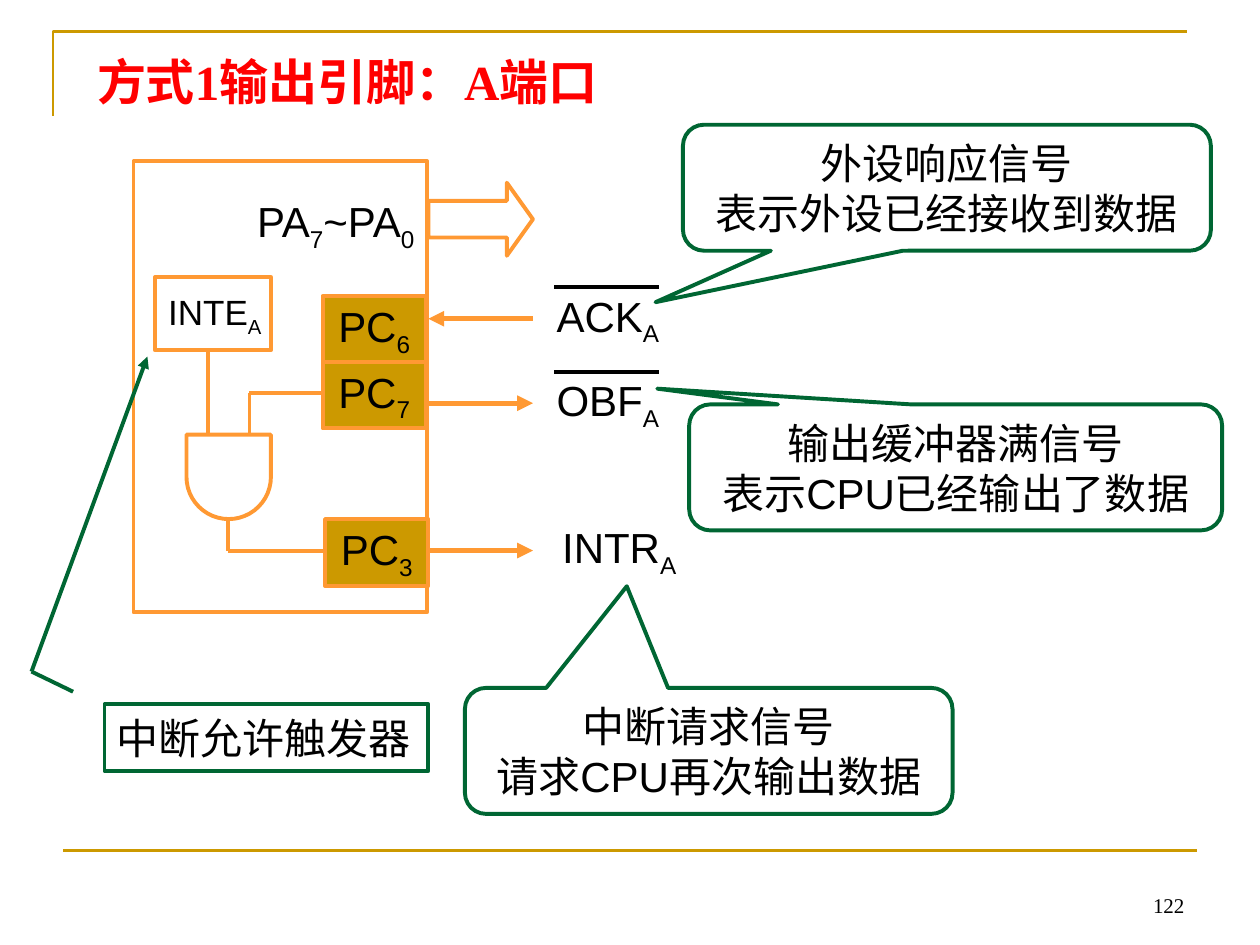
from lxml.etree import SubElement
from pptx import Presentation
from pptx.dml.color import RGBColor
from pptx.enum.shapes import MSO_CONNECTOR, MSO_SHAPE
from pptx.enum.text import MSO_ANCHOR, MSO_AUTO_SIZE, PP_ALIGN
from pptx.oxml.ns import qn
from pptx.util import Inches, Pt

GOLD = RGBColor(0xCC, 0x99, 0x00)
ORANGE = RGBColor(0xFF, 0x99, 0x33)
GREEN = RGBColor(0x00, 0x66, 0x33)
RED = RGBColor(0xFF, 0x00, 0x00)
BLACK = RGBColor(0x00, 0x00, 0x00)
WHITE = RGBColor(0xFF, 0xFF, 0xFF)
SANS, SERIF = "Arial", "Times New Roman"

TITLE = "方式1输出引脚：A端口"
PAGE_NUMBER = "122"
ENABLE_NOTE = "中断允许触发器"

CALLOUTS = [
    (("外设响应信号", "表示外设已经接收到数据"), (5.42, 0.99, 4.19, 1), (-0.552, 0.909, 0.167)),
    (("输出缓冲器满信号", "表示CPU已经输出了数据"), (5.47, 3.21, 4.23, 1), (-0.56, -0.625, 0.167)),
    (("中断请求信号", "请求CPU再次输出数据"), (3.69, 5.46, 3.87, 1), (-0.168, -1.307, 0.167)),
]

PINS = [("6", 2.56, 2.35), ("7", 2.56, 2.87), ("3", 2.58, 4.12)]

# Label parts alternate between normal text and subscript.
SIGNALS = [
    (("PA", "7", "~PA", "0"), (1.9, 1.53, 1.53, 0.5), 24),
    (("INTE", "A"), (1.23, 2.28, 0.95, 0.43), 20),
    (("ACK", "A"), (4.31, 2.28, 1.03, 0.5), 24),
    (("OBF", "A"), (4.31, 2.95, 1.03, 0.5), 24),
    (("INTR", "A"), (4.35, 4.12, 1.13, 0.5), 24),
]

GATE_WIRES = [
    ((1.65, 2.78), (1.65, 3.45)),
    ((1.98, 3.12), (2.56, 3.12)),
    ((1.98, 3.12), (1.98, 3.45)),
    ((1.81, 4.12), (1.81, 4.37)),
    ((2.56, 4.37), (1.81, 4.37)),
]
CHIP_EDGE, SIGNAL_EDGE = 3.4, 4.23
PIN_ARROWS = [
    (SIGNAL_EDGE, CHIP_EDGE, 2.53),
    (CHIP_EDGE, SIGNAL_EDGE, 3.2),
    (CHIP_EDGE, SIGNAL_EDGE, 4.37),
]
OVERBAR_TOPS = [2.28, 2.95]


def inches(values):
    return [Inches(value) for value in values]


def style_runs(paragraph, size, font=SANS, color=BLACK, bold=False):
    for run in paragraph.runs:
        run.font.name = font
        run.font.size = Pt(size)
        run.font.bold = bold
        run.font.color.rgb = color


def prepare_frame(frame, wrap=False, anchor=MSO_ANCHOR.MIDDLE):
    frame.auto_size = MSO_AUTO_SIZE.NONE
    frame.word_wrap = wrap
    frame.vertical_anchor = anchor


def write_lines(frame, lines, align=PP_ALIGN.CENTER):
    prepare_frame(frame)
    frame.text = "\n".join(lines)
    for paragraph in frame.paragraphs:
        paragraph.alignment = align
        style_runs(paragraph, 24)


def write_label(frame, parts, size=24):
    prepare_frame(frame)
    paragraph = frame.paragraphs[0]
    paragraph.alignment = PP_ALIGN.CENTER
    for index, part in enumerate(parts):
        run = paragraph.add_run()
        run.text = part
        if index % 2:
            run._r.get_or_add_rPr().set("baseline", "-25000")
    style_runs(paragraph, size)


def add_outline(slide, kind, box, color, fill=None, adjustments=()):
    shape = slide.shapes.add_shape(kind, *inches(box))
    shape.shadow.inherit = False
    shape.line.color.rgb = color
    shape.line.width = Pt(2.25)
    if fill is None:
        shape.fill.background()
    else:
        shape.fill.solid()
        shape.fill.fore_color.rgb = fill
    for index, value in enumerate(adjustments):
        shape.adjustments[index] = value
    return shape


def add_line(slide, start, end, color, width=2.25, arrow=False):
    line = slide.shapes.add_connector(MSO_CONNECTOR.STRAIGHT, *inches(start + end))
    line.line.color.rgb = color
    line.line.width = Pt(width)
    if arrow:
        SubElement(line.line._get_or_add_ln(), qn("a:tailEnd"), type="triangle")
    SubElement(line._element.spPr, qn("a:effectLst"))


def add_page_frame(slide):
    builder = slide.shapes.build_freeform(Inches(0.42), Inches(0.92))
    builder.add_line_segments([inches((0.42, 0.25)), inches((9.42, 0.25))], close=False)
    corner = builder.convert_to_shape()
    corner.shadow.inherit = False
    corner.fill.background()
    corner.line.color.rgb = GOLD
    corner.line.width = Pt(1.5)
    add_line(slide, (0.5, 6.75), (9.5, 6.75), GOLD, 1.5)

    title = slide.shapes.title
    title.left, title.top, title.width, title.height = inches((0.67, 0.36, 5.62, 0.73))
    title.fill.solid()
    title.fill.fore_color.rgb = WHITE
    prepare_frame(title.text_frame, True, MSO_ANCHOR.TOP)
    title.text_frame.text = TITLE
    heading = title.text_frame.paragraphs[0]
    heading.alignment = PP_ALIGN.LEFT
    style_runs(heading, 28, SERIF, RED, True)

    number = slide.shapes.add_textbox(*inches((7.17, 6.83, 2.33, 0.5))).text_frame
    prepare_frame(number, True, MSO_ANCHOR.BOTTOM)
    number.text = PAGE_NUMBER
    number.paragraphs[0].alignment = PP_ALIGN.RIGHT
    style_runs(number.paragraphs[0], 12, SERIF)


def add_chip(slide):
    add_outline(slide, MSO_SHAPE.RECTANGLE, (1.06, 1.28, 2.33, 3.58), ORANGE, WHITE)
    for number, left, top in PINS:
        pin = add_outline(slide, MSO_SHAPE.RECTANGLE, (left, top, 0.82, 0.53), ORANGE, GOLD)
        write_label(pin.text_frame, ("PC", number))
    add_outline(slide, MSO_SHAPE.RIGHT_ARROW, (CHIP_EDGE, 1.45, 0.83, 0.58), ORANGE,
                adjustments=(0.5, 0.357))
    gate = add_outline(slide, MSO_SHAPE.FLOWCHART_DELAY, (1.48, 3.45, 0.67, 0.67), ORANGE)
    gate.rotation = 90
    add_outline(slide, MSO_SHAPE.RECTANGLE, (1.23, 2.2, 0.92, 0.58), ORANGE)
    for start, end in GATE_WIRES:
        add_line(slide, start, end, ORANGE)
    for start, end, y in PIN_ARROWS:
        add_line(slide, (start, y), (end, y), ORANGE, 3, True)
    for parts, box, size in SIGNALS:
        write_label(slide.shapes.add_textbox(*inches(box)).text_frame, parts, size)
    for y in OVERBAR_TOPS:
        add_line(slide, (4.4, y), (5.23, y), BLACK)


def add_notes_around_chip(slide):
    for lines, box, adjustments in CALLOUTS:
        callout = add_outline(slide, MSO_SHAPE.ROUNDED_RECTANGULAR_CALLOUT, box, GREEN,
                              adjustments=adjustments)
        write_lines(callout.text_frame, lines)
    enable = add_outline(slide, MSO_SHAPE.RECTANGLE, (0.83, 5.59, 2.57, 0.53), GREEN)
    write_lines(enable.text_frame, [ENABLE_NOTE], PP_ALIGN.LEFT)
    elbow = (0.25, 5.33)
    add_line(slide, elbow, (1.17, 2.83), GREEN, arrow=True)
    add_line(slide, elbow, (0.58, 5.49), GREEN)


def main():
    deck = Presentation()
    deck.slide_width, deck.slide_height = Inches(10), Inches(7.5)
    slide = deck.slides.add_slide(deck.slide_layouts[5])
    add_page_frame(slide)
    add_chip(slide)
    add_notes_around_chip(slide)
    deck.save("out.pptx")


if __name__ == "__main__":
    main()
